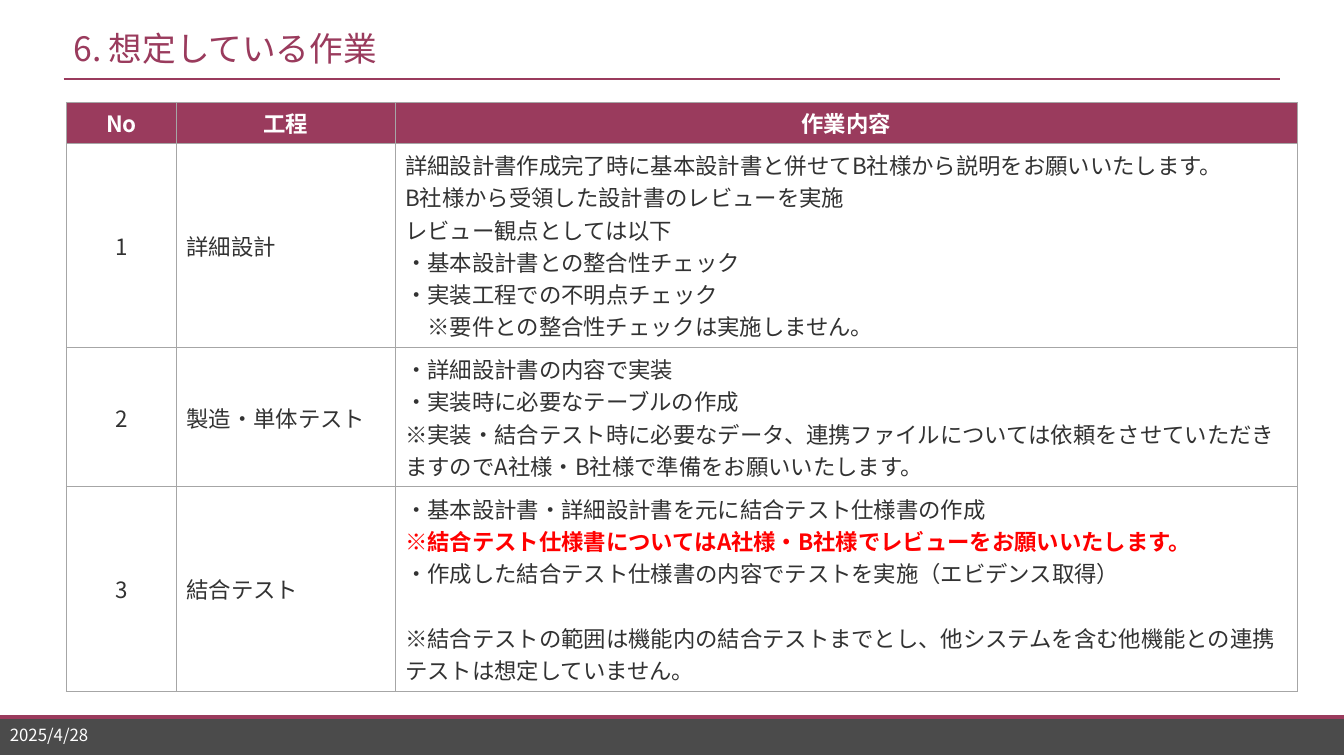
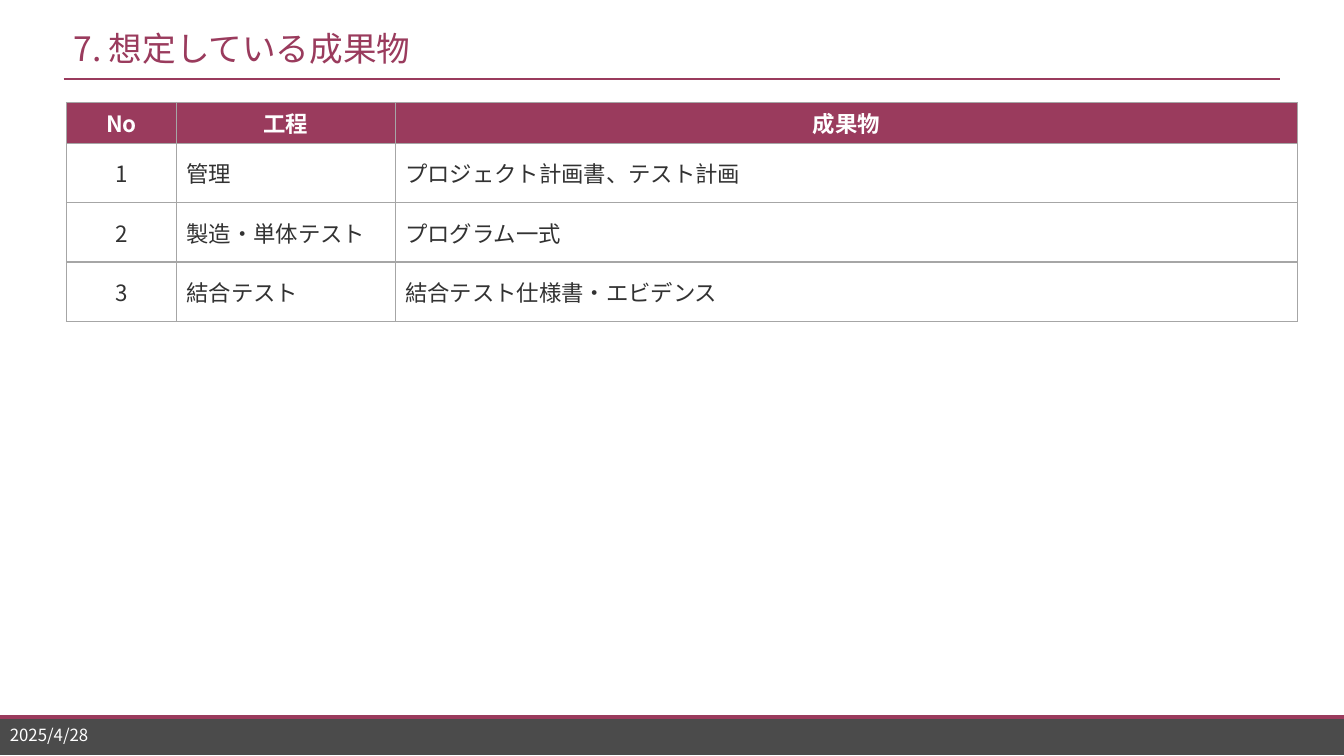
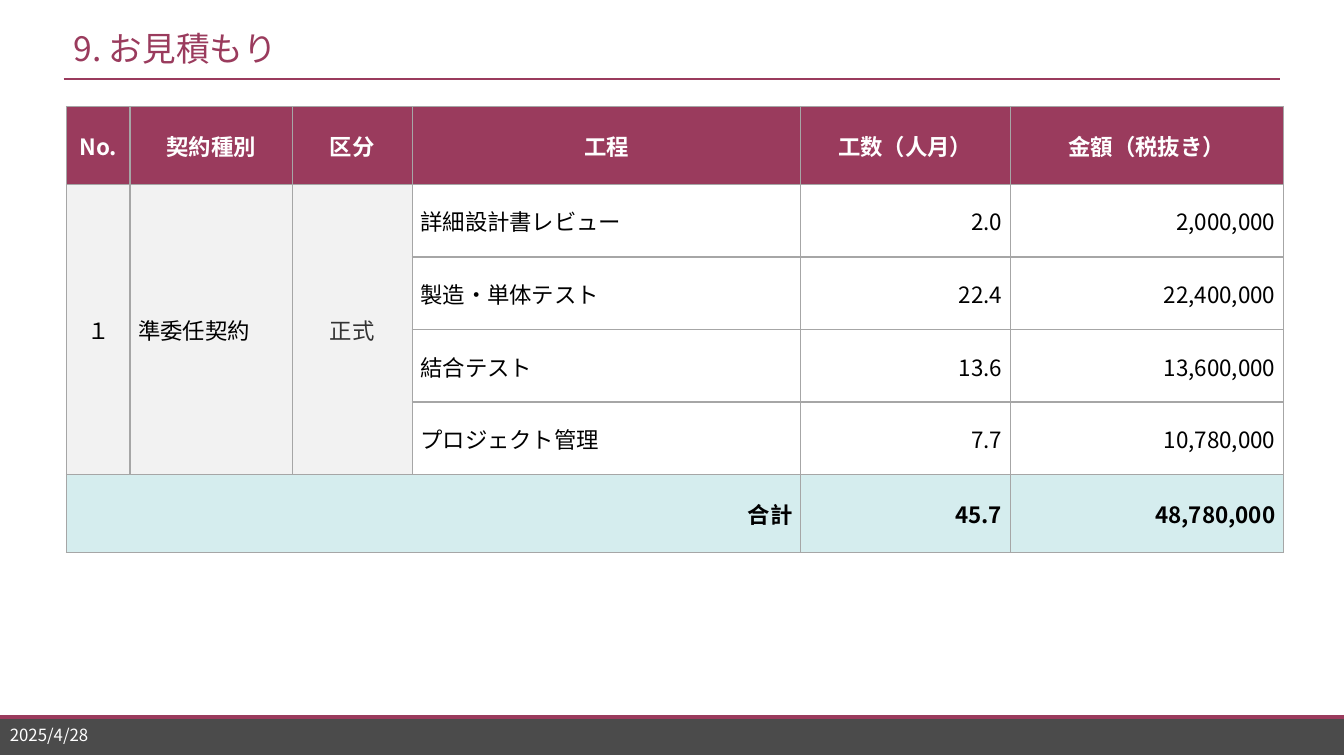
import lxml.etree
import pptx
import pptx.dml.color
import pptx.enum.shapes
import pptx.enum.text
import pptx.oxml
import pptx.oxml.ns
import pptx.util

WIDTH, HEIGHT = 13.33, 7.5
FONT = "Noto Sans CJK JP"
WINE, GRAY, INK, BLACK, WHITE = "9A3B5D", "4B4B4B", "323232", "000000", "FFFFFF"
DATE = "2025/4/28"
ALIGNMENT = pptx.enum.text.PP_ALIGN
MIDDLE = pptx.enum.text.MSO_ANCHOR.MIDDLE
SIDES = ("left", "top", "right", "bottom")

PLAIN = {"size": 16, "bold": False, "color": INK, "fill": WHITE,
         "alignment": ALIGNMENT.LEFT, "margins": (0.1, 0.05, 0.1, 0.05)}
CENTERED = PLAIN | {"alignment": ALIGNMENT.CENTER, "margins": (0.04,) * 4}
HEADING = CENTERED | {"bold": True, "color": WHITE, "fill": WINE}
TIGHT_HEADING = HEADING | {"margins": (0.01, 0.01, 0.01, 0)}
PROCESS = PLAIN | {"color": BLACK, "margins": (0.08, 0.01, 0.08, 0)}
CONTRACT = PROCESS | {"fill": "F2F2F2"}
CONTRACT_NUMBER = CONTRACT | {"alignment": ALIGNMENT.CENTER, "margins": (0, 0.01, 0, 0)}
CATEGORY = CONTRACT | {"alignment": ALIGNMENT.CENTER, "color": INK}
AMOUNT = PROCESS | {"alignment": ALIGNMENT.RIGHT, "margins": (0.01, 0.01, 0.08, 0)}
TOTAL = AMOUNT | {"bold": True, "fill": "D5EDEE"}
WARNING = {"color": "FF0000", "bold": True}
INDENTED = {"indent": 16}
SEPARATED = {"space_before": 23}


def process_columns(result):
    return [("No", 1.09, CENTERED), ("工程", 2.17, PLAIN), (result, 8.95, PLAIN)]


PAGES = [
    {
        "title": "6. 想定している作業",
        "top": 1.02,
        "heading": HEADING,
        "columns": process_columns("作業内容"),
        "heights": [0.4, 2.03, 1.38, 2.03],
        "rows": [
            ["1", "詳細設計", [
                "詳細設計書作成完了時に基本設計書と併せてB社様から説明をお願いいたします。",
                "B社様から受領した設計書のレビューを実施",
                "レビュー観点としては以下",
                "・基本設計書との整合性チェック",
                "・実装工程での不明点チェック",
                ("※要件との整合性チェックは実施しません。", INDENTED),
            ]],
            ["2", "製造・単体テスト", [
                "・詳細設計書の内容で実装",
                "・実装時に必要なテーブルの作成",
                "※実装・結合テスト時に必要なデータ、連携ファイルについては依頼をさせていただきますのでA社様・B社様で準備をお願いいたします。",
            ]],
            ["3", "結合テスト", [
                "・基本設計書・詳細設計書を元に結合テスト仕様書の作成",
                ("※結合テスト仕様書についてはA社様・B社様でレビューをお願いいたします。", WARNING),
                "・作成した結合テスト仕様書の内容でテストを実施（エビデンス取得）",
                ("※結合テストの範囲は機能内の結合テストまでとし、他システムを含む他機能との連携テストは想定していません。", SEPARATED),
            ]],
        ],
    },
    {
        "title": "7. 想定している成果物",
        "top": 1.02,
        "heading": HEADING,
        "columns": process_columns("成果物"),
        "heights": [0.4] + [0.59] * 3,
        "rows": [
            ["1", "管理", "プロジェクト計画書、テスト計画"],
            ["2", "製造・単体テスト", "プログラム一式"],
            ["3", "結合テスト", "結合テスト仕様書・エビデンス"],
        ],
    },
    {
        "title": "9. お見積もり",
        "top": 1.06,
        "heading": TIGHT_HEADING,
        "columns": [
            ("No.", 0.63, CONTRACT_NUMBER), ("契約種別", 1.61, CONTRACT),
            ("区分", 1.19, CATEGORY), ("工程", 3.85, PROCESS),
            ("工数（人月）", 2.08, AMOUNT), ("金額（税抜き）", 2.71, AMOUNT),
        ],
        "heights": [0.77] + [0.72] * 4 + [0.77],
        "rows": [
            ["１", "準委任契約", "正式", "詳細設計書レビュー", "2.0", "2,000,000"],
            [None, None, None, "製造・単体テスト", "22.4", "22,400,000"],
            [None, None, None, "結合テスト", "13.6", "13,600,000"],
            [None, None, None, "プロジェクト管理", "7.7", "10,780,000"],
        ],
        "total": ["合計", None, None, None, "45.7", "48,780,000"],
        "merges": [((1, column), (4, column)) for column in range(3)] + [((5, 0), (5, 3))],
    },
]


def inches(*values):
    return [pptx.util.Inches(value) for value in values]


def color(value):
    return pptx.dml.color.RGBColor.from_string(value)


def write(paragraph, text, look):
    if "indent" in look:
        paragraph._p.get_or_add_pPr().set("marL", str(pptx.util.Pt(look["indent"])))
    paragraph.alignment = look["alignment"]
    if "space_before" in look:
        paragraph.space_before = pptx.util.Pt(look["space_before"])
    run = paragraph.add_run()
    run.text = text
    settings = {"name": FONT, "size": pptx.util.Pt(look["size"]), "bold": look["bold"]}
    for name, value in settings.items():
        setattr(run.font, name, value)
    run.font.color.rgb = color(look["color"])
    lxml.etree.SubElement(run._r.get_or_add_rPr(), pptx.oxml.ns.qn("a:ea"), typeface=FONT)


def add_label(slide, box, text, look):
    frame = slide.shapes.add_textbox(*inches(*box)).text_frame
    frame.word_wrap = True
    frame.vertical_anchor = MIDDLE
    write(frame.paragraphs[0], text, look)


def add_rule(slide, left, right, y, weight):
    line = slide.shapes.add_connector(
        pptx.enum.shapes.MSO_CONNECTOR.STRAIGHT, *inches(left, y, right, y))
    line.line.color.rgb = color(WINE)
    line.line.width = pptx.util.Pt(weight)
    lxml.etree.SubElement(line._element.spPr, pptx.oxml.ns.qn("a:effectLst"))


def add_frame(slide, title):
    band = slide.shapes.add_shape(
        pptx.enum.shapes.MSO_SHAPE.RECTANGLE, *inches(0, 7.1, WIDTH, 0.39))
    band.shadow.inherit = False
    band.fill.solid()
    band.fill.fore_color.rgb = color(GRAY)
    band.line.fill.background()
    add_rule(slide, 0, WIDTH, 7.11, 2.75)
    add_rule(slide, 0.63, 12.7, 0.78, 1.5)
    add_label(slide, (0.63, 0.2, 12.07, 0.55), title, PLAIN | {"size": 24, "color": WINE})
    add_label(slide, (0, 7.17, 1.57, 0.24), DATE, PLAIN | {"size": 12, "color": WHITE})


def add_borders(cell):
    properties = cell._tc.get_or_add_tcPr()
    for index, side in enumerate("LRTB"):
        properties.insert(index, pptx.oxml.parse_xml(
            f'<a:ln{side} {pptx.oxml.ns.nsdecls("a")} w="12700"><a:solidFill>'
            f'<a:srgbClr val="A6A6A6"/></a:solidFill></a:ln{side}>'))


def fill_cell(cell, content, look):
    cell.vertical_anchor = MIDDLE
    for side, margin in zip(SIDES, look["margins"]):
        setattr(cell, f"margin_{side}", pptx.util.Inches(margin))
    cell.fill.solid()
    cell.fill.fore_color.rgb = color(look["fill"])
    add_borders(cell)
    if content is None:
        return
    frame = cell.text_frame
    for index, item in enumerate(content if isinstance(content, list) else [content]):
        text, changes = item if isinstance(item, tuple) else (item, {})
        paragraph = frame.add_paragraph() if index else frame.paragraphs[0]
        write(paragraph, text, look | changes)


def add_page_table(slide, page):
    headings, widths, looks = zip(*page["columns"])
    count = len(headings)
    rows = [(headings, [page["heading"]] * count)]
    rows += [(row, looks) for row in page["rows"]]
    if "total" in page:
        rows.append((page["total"], [TOTAL] * count))
    heights = page["heights"]
    table = slide.shapes.add_table(
        len(rows), count, *inches(0.66, page["top"], sum(widths), sum(heights))).table
    table.first_row = table.horz_banding = False
    for column, width in zip(table.columns, widths):
        column.width = pptx.util.Inches(width)
    for row, height in zip(table.rows, heights):
        row.height = pptx.util.Inches(height)
    for row_index, (contents, row_looks) in enumerate(rows):
        for column_index, (content, look) in enumerate(zip(contents, row_looks)):
            fill_cell(table.cell(row_index, column_index), content, look)
    for first, last in page.get("merges", []):
        table.cell(*first).merge(table.cell(*last))


def main():
    presentation = pptx.Presentation()
    presentation.slide_width, presentation.slide_height = inches(WIDTH, HEIGHT)
    for page in PAGES:
        slide = presentation.slides.add_slide(presentation.slide_layouts[6])
        add_frame(slide, page["title"])
        add_page_table(slide, page)
    presentation.save("out.pptx")


if __name__ == "__main__":
    main()
